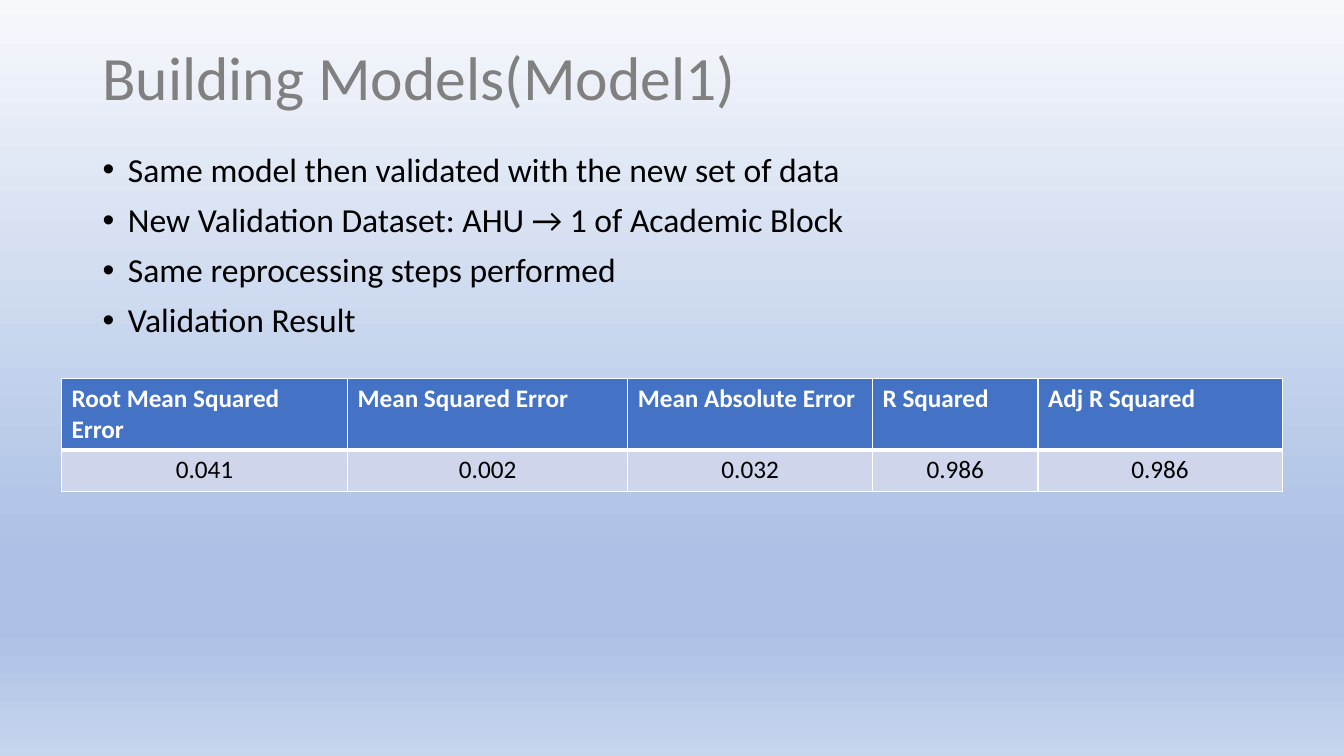
"""Builds the slide with the validation result of Model1."""
from copy import deepcopy

from lxml import etree
from pptx import Presentation
from pptx import util as u
from pptx.dml import color
from pptx.enum import text
from pptx.oxml import ns

BACKDROP = [(0, "F6F8FC"), (0.74, "ABC0E4"), (0.83, "ABC0E4"), (1, "C7D5ED")]
FINDINGS = [
    "Same model then validated with the new set of data",
    "New Validation Dataset: AHU → 1 of Academic Block",
    "Same reprocessing steps performed",
    "Validation Result",
]
METRICS = [
    ("Root Mean Squared Error", "0.041", 7.21),
    ("Mean Squared Error", "0.002", 7.06),
    ("Mean Absolute Error", "0.032", 6.17),
    ("R Squared", "0.986", 4.17),
    ("Adj R Squared", "0.986", 6.15),
]


def paint(font, size, hex_color, bold=False):
    font.name = "Calibri"
    font.size = u.Pt(size)
    font.bold = bold
    font.color.rgb = color.RGBColor.from_string(hex_color)


def add_border(cell, side, width):
    border = etree.SubElement(cell._tc.get_or_add_tcPr(), ns.qn(f"a:ln{side}"), w=str(u.Pt(width)))
    fill = etree.SubElement(border, ns.qn("a:solidFill"))
    etree.SubElement(fill, ns.qn("a:srgbClr"), val="FFFFFF")


deck = Presentation()
deck.slide_width, deck.slide_height = u.Cm(33.87), u.Cm(19.05)
slide = deck.slides.add_slide(deck.slide_layouts[1])

backdrop = slide.background.fill
backdrop.gradient()
backdrop.gradient_angle = 270
stops = slide.element.find(".//" + ns.qn("a:gsLst"))
while len(stops) < len(BACKDROP):
    stops.append(deepcopy(stops[0]))
for stop, (position, shade) in zip(backdrop.gradient_stops, BACKDROP):
    stop.position = position
    stop.color.rgb = color.RGBColor.from_string(shade)

heading = slide.shapes.title
heading.left, heading.top, heading.width, heading.height = map(u.Cm, (2.33, 1.02, 29.21, 2.03))
heading.text_frame.text = "Building Models(Model1)"
heading.text_frame.auto_size = text.MSO_AUTO_SIZE.NONE
heading.text_frame.vertical_anchor = text.MSO_ANCHOR.MIDDLE
heading_line = heading.text_frame.paragraphs[0]
heading_line.alignment = text.PP_ALIGN.LEFT
heading_line.line_spacing = 0.9
paint(heading_line.runs[0].font, 44, "808080")

findings = slide.placeholders[1]
findings.left, findings.top, findings.width, findings.height = map(u.Cm, (2.33, 3.73, 29.21, 12.09))
findings.text_frame.text = "\n".join(FINDINGS)
findings.text_frame.auto_size = text.MSO_AUTO_SIZE.NONE
for finding in findings.text_frame.paragraphs:
    finding.line_spacing = 0.9
    finding.space_before = u.Pt(10)
    indents = finding._p.get_or_add_pPr()
    indents.set("marL", str(u.Cm(0.64)))
    indents.set("indent", str(u.Cm(-0.64)))
    paint(finding.runs[0].font, 24, "000000")

scores = slide.shapes.add_table(
    2, len(METRICS), u.Cm(1.55), u.Cm(9.53), u.Cm(30.76), u.Cm(2.08)
).table
for column, (metric, score, width) in enumerate(METRICS):
    scores.columns[column].width = u.Cm(width)
    for row, entry in enumerate((metric, score)):
        is_header = row == 0
        cell = scores.cell(row, column)
        cell.text_frame.text = entry
        line = cell.text_frame.paragraphs[0]
        line.alignment = text.PP_ALIGN.LEFT if is_header else text.PP_ALIGN.CENTER
        paint(line.runs[0].font, 18, "FFFFFF" if is_header else "000000", is_header)
        for side in "LRTB":
            add_border(cell, side, 3 if is_header and side == "B" else 1)
        cell.fill.solid()
        cell.fill.fore_color.rgb = color.RGBColor.from_string("4472C4" if is_header else "CFD5EA")

deck.save("out.pptx")
